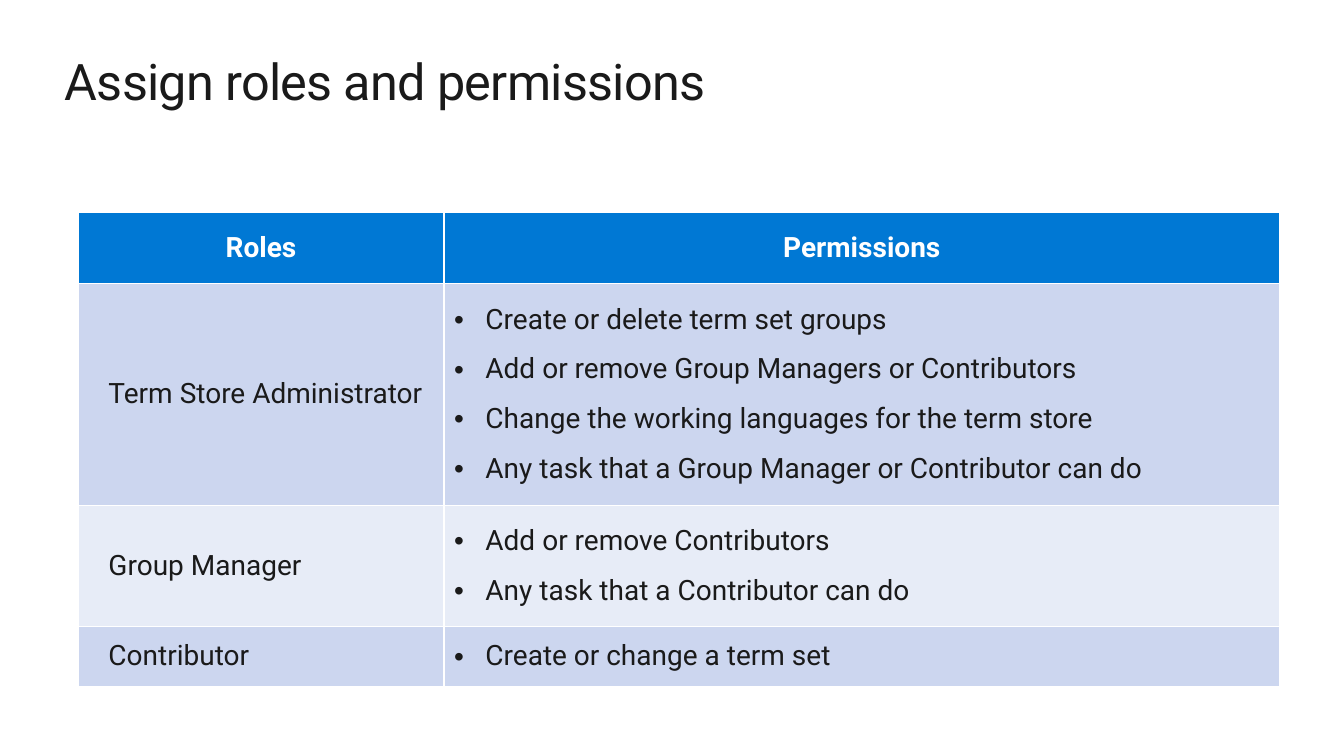
from dataclasses import dataclass

from lxml.etree import SubElement
from pptx import Presentation
from pptx.dml.color import RGBColor
from pptx.enum.text import MSO_ANCHOR, PP_ALIGN
from pptx.oxml.ns import qn
from pptx.util import Cm, Pt


@dataclass(frozen=True)
class Theme:
    font: str = "Roboto"
    ink: str = "1A1A1A"
    white: str = "FFFFFF"
    header: str = "0078D4"
    bands: tuple = ("CCD6EF", "E7ECF7")
    title_size: int = 36
    table_size: int = 20


theme = Theme()


def add_run(p, text, size, color, bold=False):
    r = p.add_run()
    r.text = text
    r.font.name = theme.font
    r.font.size = Pt(size)
    r.font.bold = bold
    r.font.color.rgb = RGBColor.from_string(color)
    return r


def fill_cell(cell, lines, fill, color, bold=False, align=PP_ALIGN.LEFT, margin=0, bullet=False):
    cell.fill.solid()
    cell.fill.fore_color.rgb = RGBColor.from_string(fill)
    cell.vertical_anchor = MSO_ANCHOR.MIDDLE
    tf = cell.text_frame
    for i, line in enumerate(lines):
        p = tf.add_paragraph() if i else tf.paragraphs[0]
        p.alignment = align
        p.space_before = p.space_after = Pt(6)
        pPr = p._p.get_or_add_pPr()
        pPr.set("marL", str(Cm(margin)))
        pPr.set("indent", str(-Cm(margin) if bullet else 0))
        if bullet:
            SubElement(pPr, qn("a:buFont"), typeface="Arial")
            SubElement(pPr, qn("a:buChar"), char="•")
        add_run(p, line, theme.table_size, color, bold)


prs = Presentation()
prs.slide_width, prs.slide_height = Cm(33.87), Cm(19.05)
s = prs.slides.add_slide(prs.slide_layouts[6])

title = s.shapes.add_textbox(Cm(1.63), Cm(1.27), Cm(30.6), Cm(1.55))
tf = title.text_frame
tf.word_wrap = True
tf.margin_left = tf.margin_top = tf.margin_right = tf.margin_bottom = 0
r = add_run(tf.paragraphs[0], "Assign roles and permissions", theme.title_size, theme.ink)
r._r.get_or_add_rPr().set("spc", "-50")

headings = ["Roles", "Permissions"]
roles = [
    ("Term Store Administrator", [
        "Create or delete term set groups",
        "Add or remove Group Managers or Contributors",
        "Change the working languages for the term store",
        "Any task that a Group Manager or Contributor can do",
    ]),
    ("Group Manager", [
        "Add or remove Contributors",
        "Any task that a Contributor can do",
    ]),
    ("Contributor", ["Create or change a term set"]),
]
col_widths = [9.22, 21.06]
row_heights = [1.78, 5.59, 3.05, 1.52]

table = s.shapes.add_table(
    len(row_heights), len(col_widths),
    Cm(1.97), Cm(5.36), Cm(sum(col_widths)), Cm(sum(row_heights)),
).table
for column, width in zip(table.columns, col_widths):
    column.width = Cm(width)
for row, height in zip(table.rows, row_heights):
    row.height = Cm(height)

for c, heading in enumerate(headings):
    fill_cell(table.cell(0, c), [heading], theme.header, theme.white, bold=True, align=PP_ALIGN.CENTER)
for i, (role, permissions) in enumerate(roles):
    band = theme.bands[i % 2]
    fill_cell(table.cell(i + 1, 0), [role], band, theme.ink, margin=0.51)
    fill_cell(table.cell(i + 1, 1), permissions, band, theme.ink, margin=0.79, bullet=True)

prs.save("out.pptx")
